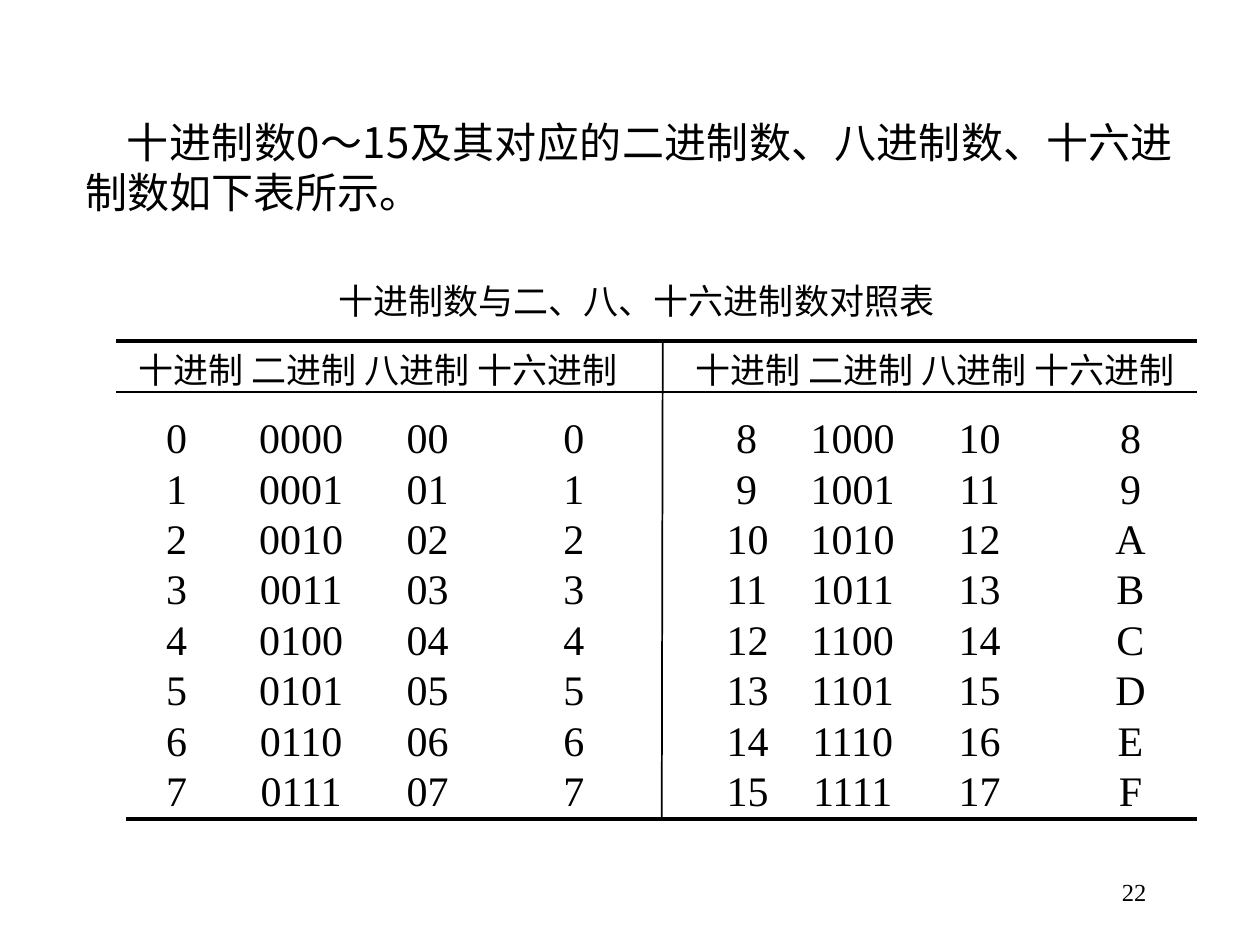
from lxml.etree import SubElement
from pptx import Presentation
from pptx.dml.color import RGBColor
from pptx.enum.shapes import MSO_CONNECTOR
from pptx.enum.text import MSO_ANCHOR, PP_ALIGN
from pptx.oxml.ns import qn
from pptx.util import Cm, Pt

SANS = "Noto Sans CJK SC"
SERIF = "Times New Roman"


def color(code):
    return RGBColor.from_string(code)


def assign(target, values):
    for name, value in values.items():
        setattr(target, name, value)


class Page:
    ink = "000000"

    def __init__(self, slide):
        self.slide = slide

    def text(self, box, lines, font, size, frame=None, para=None, tabs=()):
        shape = self.slide.shapes.add_textbox(*map(Cm, box))
        body = shape.text_frame
        assign(body, {"word_wrap": True, **(frame or {})})
        for index, line in enumerate(lines):
            item = body.add_paragraph() if index else body.paragraphs[0]
            assign(item, para or {})
            run = item.add_run()
            run.text = line
            assign(run.font, {"name": font, "size": Pt(size)})
            run.font.color.rgb = color(self.ink)
            SubElement(run.font._element, qn("a:ea"), typeface=font)
            if tabs:
                self.stops(item, tabs)
        return body

    def stops(self, item, tabs):
        stops = SubElement(item._p.get_or_add_pPr(), qn("a:tabLst"))
        for place in tabs:
            SubElement(stops, qn("a:tab"), pos=str(Cm(place)), algn="ctr")

    def grid(self, box, rows, tabs):
        lines = ["".join("\t" + cell for cell in row) for row in rows]
        frame = {"margin_top": 0, "margin_bottom": 0}
        para = {"line_spacing": Pt(28.8)}
        self.text(box, lines, SERIF, 24, frame, para, tabs)

    def rule(self, start, end, width):
        line = self.slide.shapes.add_connector(
            MSO_CONNECTOR.STRAIGHT, *map(Cm, start + end))
        line.line.color.rgb = color(self.ink)
        line.line.width = Pt(width)
        SubElement(line._element.spPr, qn("a:effectLst"))


def rows(first):
    return [(f"{n}", f"{n:04b}", f"{n:02o}", f"{n:X}")
            for n in range(first, first + 8)]


def main():
    deck = Presentation()
    assign(deck, {"slide_width": Cm(25.4), "slide_height": Cm(19.05)})
    page = Page(deck.slides.add_slide(deck.slide_layouts[6]))
    middle = {"vertical_anchor": MSO_ANCHOR.MIDDLE}
    center = {"alignment": PP_ALIGN.CENTER}

    intro = page.text(
        (1.47, 2.22, 22.43, 2.29),
        ["十进制数0～15及其对应的二进制数、八进制数、十六进制数如下表所示。"],
        SANS, 24, para={"alignment": PP_ALIGN.JUSTIFY,
                        "line_spacing": Pt(28.8)})
    intro.paragraphs[0]._p.get_or_add_pPr().set("indent", str(Cm(0.84)))

    page.text((3.52, 5.51, 18.62, 1.09), ["十进制数与二、八、十六进制数对照表"],
              SANS, 20, middle, center)
    for left, width in ((1.9, 11.46), (13.36, 10.97)):
        page.text((left, 6.88, width, 1.14), ["十进制 二进制 八进制 十六进制"],
                  SANS, 20, middle, center)

    for start, end, width in (
            ((2.34, 6.88), (24.13, 6.88), 2.25),
            ((2.34, 7.9), (24.13, 7.9), 1),
            ((2.54, 16.51), (24.13, 16.51), 2.25),
            ((13.36, 6.88), (13.34, 16.51), 1)):
        page.rule(start, end, width)

    page.grid((3.1, 8.3, 10.03, 8.13), rows(0), (0.2, 2.72, 5.27, 8.22))
    page.grid((14.4, 8.3, 9, 8.13), rows(8), (0.4, 2.54, 5.1, 8.14))
    page.text((18.21, 17.35, 5.15, 1.27), ["22"], SERIF, 14, middle,
              {"alignment": PP_ALIGN.RIGHT})
    deck.save("out.pptx")


if __name__ == "__main__":
    main()
